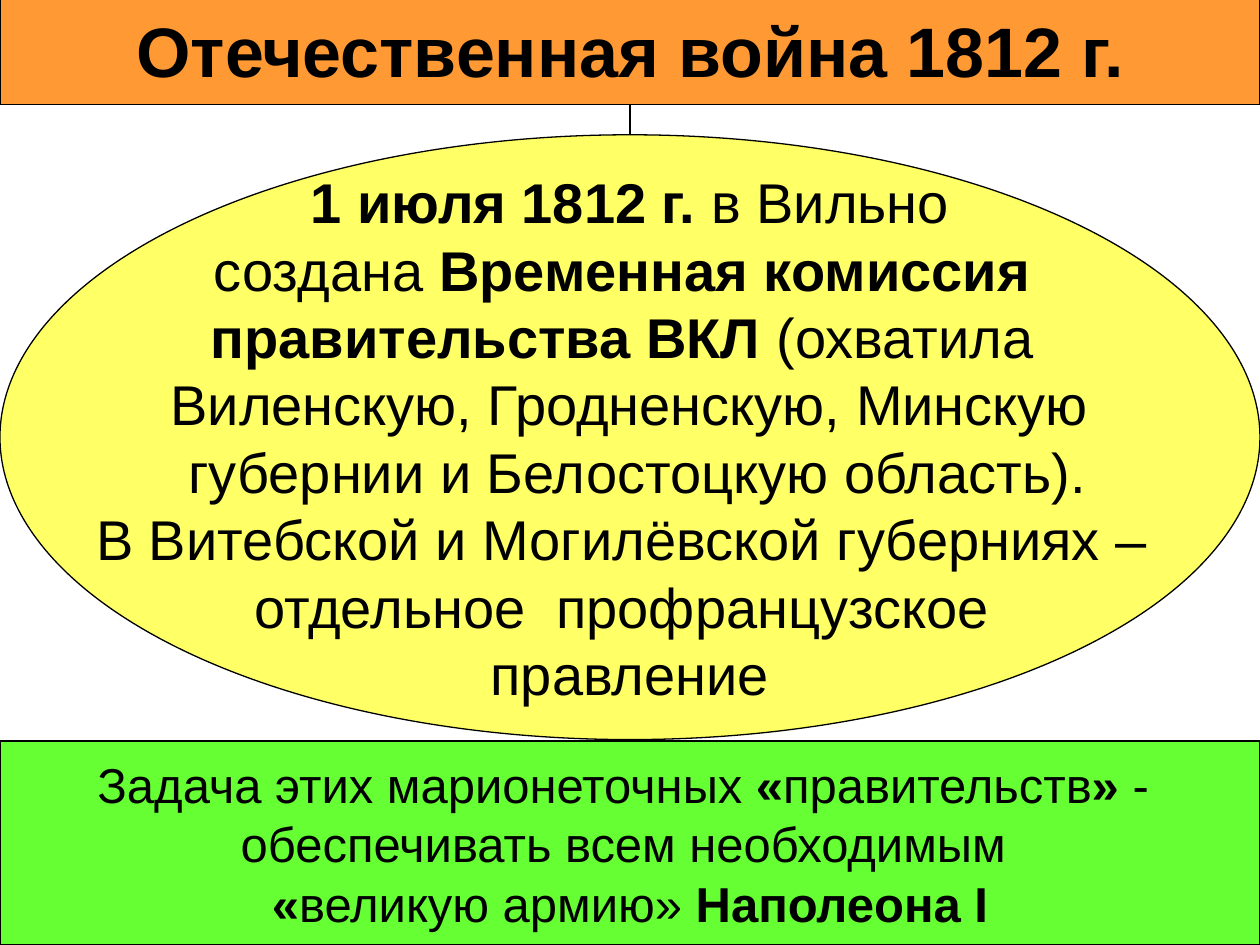
from pptx import Presentation
from pptx.dml.color import RGBColor
from pptx.enum.shapes import MSO_CONNECTOR as Connector, MSO_SHAPE as Shape
from pptx.enum.text import MSO_ANCHOR as Anchor, MSO_AUTO_SIZE as AutoSize, PP_ALIGN as Align
from pptx.oxml.ns import qn
from pptx.util import Inches, Pt
from lxml.etree import SubElement

COLORS = {
    "title": "FF9933",
    "commission": "FFFF66",
    "task": "66FF33",
    "ink": "000000",
}
WIDTH, HEIGHT = Inches(10), Inches(7.5)

# Top and bottom edges of the stacked bands
TITLE_BAND = (Inches(-0.05), Inches(0.83))
COMMISSION_BAND = (Inches(1.07), Inches(5.87))
TASK_BAND = (Inches(5.88), HEIGHT)

# Each line is a list of (text, bold) runs
TITLE = [[("Отечественная война 1812 г.", True)]]
COMMISSION = [
    [("1 июля 1812 г.", True), (" в Вильно", False)],
    [("создана ", False), ("Временная комиссия ", True)],
    [("правительства ВКЛ ", True), ("(охватила ", False)],
    [("Виленскую, Гродненскую, Минскую", False)],
    [(" губернии и Белостоцкую область).", False)],
    [("В Витебской и Могилёвской губерниях – ", False)],
    [("отдельное  профранцузское ", False)],
    [("правление", False)],
]
TASK = [
    [("Задача этих марионеточных ", False), ("«", True), ("правительств", False),
     ("»", True), (" - ", False)],
    [("обеспечивать всем необходимым ", False)],
    [("«", True), ("великую армию» ", False), ("Наполеона І", True)],
]


def color(name):
    return RGBColor.from_string(COLORS[name])


def outline(line):
    line.color.rgb = color("ink")
    line.width = Pt(0.75)


def style_band(box, band, fill):
    """Span the full page width between the band's edges, filled and outlined."""
    top, bottom = band
    box.left, box.top, box.width, box.height = 0, top, WIDTH, bottom - top
    box.fill.solid()
    box.fill.fore_color.rgb = color(fill)
    outline(box.line)


def write_lines(box, lines, size, spacing=None):
    frame = box.text_frame
    frame.auto_size = AutoSize.NONE
    frame.word_wrap = False
    frame.vertical_anchor = Anchor.MIDDLE
    for index, runs in enumerate(lines):
        para = frame.add_paragraph() if index else frame.paragraphs[0]
        para.alignment = Align.CENTER
        if spacing:
            para.line_spacing = Pt(spacing)
        for text, bold in runs:
            span = para.add_run()
            span.text = text
            span.font.name = "Arial"
            span.font.size = Pt(size)
            span.font.bold = bold
            span.font.color.rgb = color("ink")


def add_band(page, kind, band, fill):
    box = page.shapes.add_shape(kind, 0, band[0], WIDTH, band[1] - band[0])
    box.shadow.inherit = False
    style_band(box, band, fill)
    return box


def add_link(page, x, top, bottom):
    link = page.shapes.add_connector(Connector.STRAIGHT, x, top, x, bottom)
    outline(link.line)
    SubElement(link._element.spPr, qn("a:effectLst"))


def main():
    deck = Presentation()
    deck.slide_width, deck.slide_height = WIDTH, HEIGHT
    page = deck.slides.add_slide(deck.slide_layouts[5])

    # Title banner
    title = page.shapes.title
    style_band(title, TITLE_BAND, "title")
    write_lines(title, TITLE, 40)

    # Commission ellipse
    commission = add_band(page, Shape.OVAL, COMMISSION_BAND, "commission")
    write_lines(commission, COMMISSION, 32, 38.5)

    # Task of the governments
    task = add_band(page, Shape.RECTANGLE, TASK_BAND, "task")
    write_lines(task, TASK, 28, 34)

    # Link from the banner to the ellipse
    add_link(page, WIDTH // 2, TITLE_BAND[1], COMMISSION_BAND[0])

    deck.save("out.pptx")


if __name__ == "__main__":
    main()
